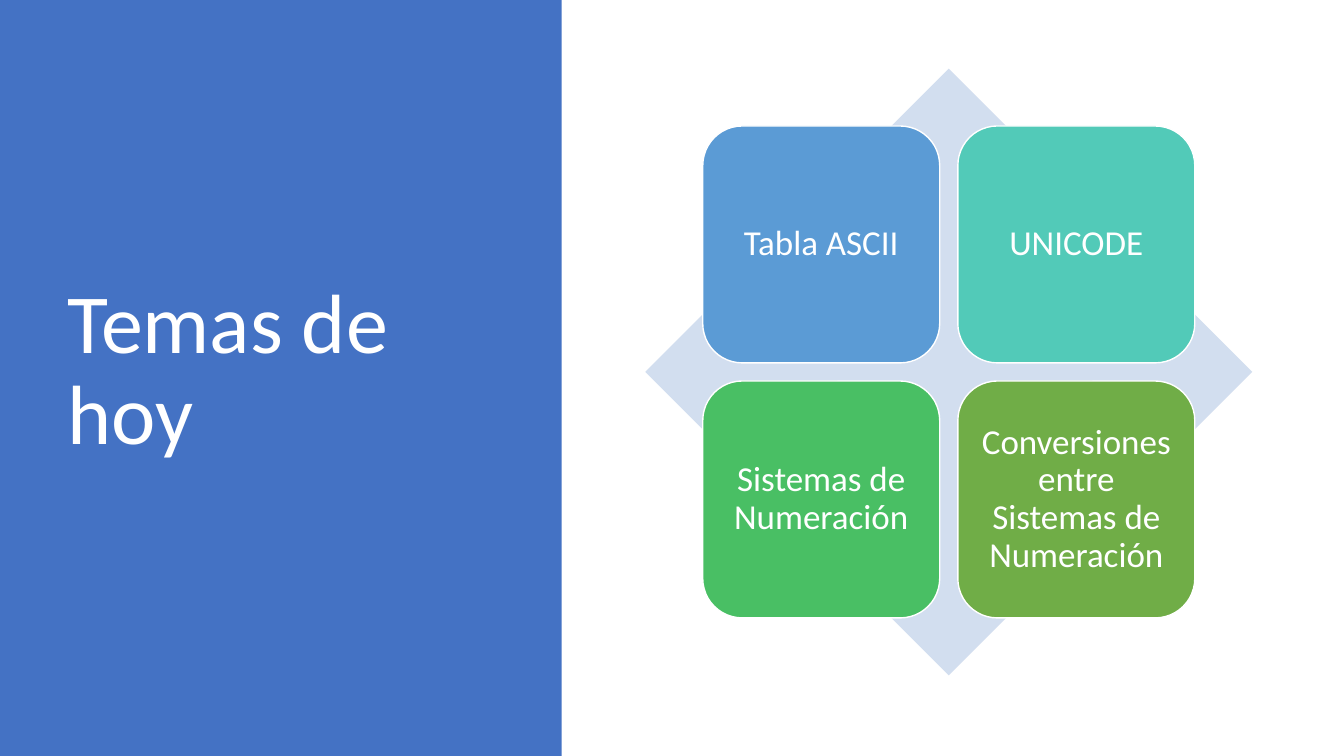
from pptx import Presentation
from pptx.dml.color import RGBColor
from pptx.enum.shapes import MSO_SHAPE
from pptx.enum.text import MSO_ANCHOR, PP_ALIGN
from pptx.util import Inches, Pt

RECTANGLE = MSO_SHAPE.RECTANGLE
DIAMOND = MSO_SHAPE.DIAMOND
ROUNDED = MSO_SHAPE.ROUNDED_RECTANGLE
MIDDLE = MSO_ANCHOR.MIDDLE
LEFT, CENTER = PP_ALIGN.LEFT, PP_ALIGN.CENTER

TITLE = "Temas de hoy"
TOPICS = [
    ("Tabla ASCII", "sky"),
    ("UNICODE", "teal"),
    ("Sistemas de Numeración", "green"),
    ("Conversiones entre Sistemas de Numeración", "olive"),
]
COLORS = {
    "panel": "4472C4",
    "diamond": "D2DEEF",
    "sky": "5B9BD5",
    "teal": "52CAB8",
    "green": "49BF64",
    "olive": "70AD47",
    "white": "FFFFFF",
}
FONT = "Calibri"

SLIDE_W, SLIDE_H = 13.33, 7.5
PANEL_W = 5.57
TITLE_BOX = {"left": 0.57, "top": 0.68, "width": 4.16, "height": 6.02}
DIAMOND_LEFT, DIAMOND_TOP, DIAMOND_SIZE = 6.4, 0.68, 6.02
TILE_INSET, TILE_SIZE, TILE_STEP = 0.57, 2.35, 2.53
COLUMNS = 2
TILE_MARGINS = ("margin_left", "margin_top", "margin_right", "margin_bottom")


def color(name):
    return RGBColor.from_string(COLORS[name])


def add_filled(shapes, preset, left, top, width, height, fill):
    """Add a preset shape with a plain fill, no outline and no shadow."""
    shape = shapes.add_shape(
        preset, Inches(left), Inches(top), Inches(width), Inches(height))
    shape.shadow.inherit = False
    shape.fill.solid()
    shape.fill.fore_color.rgb = color(fill)
    shape.line.fill.background()
    return shape


def write(shape, text, size, alignment):
    frame = shape.text_frame
    frame.word_wrap = True
    frame.vertical_anchor = MIDDLE
    paragraph = frame.paragraphs[0]
    paragraph.alignment = alignment
    paragraph.line_spacing = 0.9
    run = paragraph.add_run()
    run.text = text
    for name, value in {"name": FONT, "size": Pt(size)}.items():
        setattr(run.font, name, value)
    run.font.color.rgb = color("white")


def main():
    prs = Presentation()
    prs.slide_width, prs.slide_height = Inches(SLIDE_W), Inches(SLIDE_H)
    slide = prs.slides.add_slide(prs.slide_layouts[5])

    title = slide.shapes.title
    for side, length in TITLE_BOX.items():
        setattr(title, side, Inches(length))
    write(title, TITLE, 60, LEFT)

    panel = add_filled(slide.shapes, RECTANGLE, 0, 0, PANEL_W, SLIDE_H, "panel")
    title.element.addprevious(panel.element)

    matrix = slide.shapes.add_group_shape().shapes
    add_filled(matrix, DIAMOND, DIAMOND_LEFT, DIAMOND_TOP,
               DIAMOND_SIZE, DIAMOND_SIZE, "diamond")

    for index, (topic, fill) in enumerate(TOPICS):
        row, column = divmod(index, COLUMNS)
        tile = add_filled(
            matrix, ROUNDED,
            DIAMOND_LEFT + TILE_INSET + column * TILE_STEP,
            DIAMOND_TOP + TILE_INSET + row * TILE_STEP,
            TILE_SIZE, TILE_SIZE, fill)
        tile.line.color.rgb = color("white")
        tile.line.width = Pt(1)
        for margin in TILE_MARGINS:
            setattr(tile.text_frame, margin, Inches(0.1))
        write(tile, topic, 25, CENTER)

    prs.save("out.pptx")


if __name__ == "__main__":
    main()
